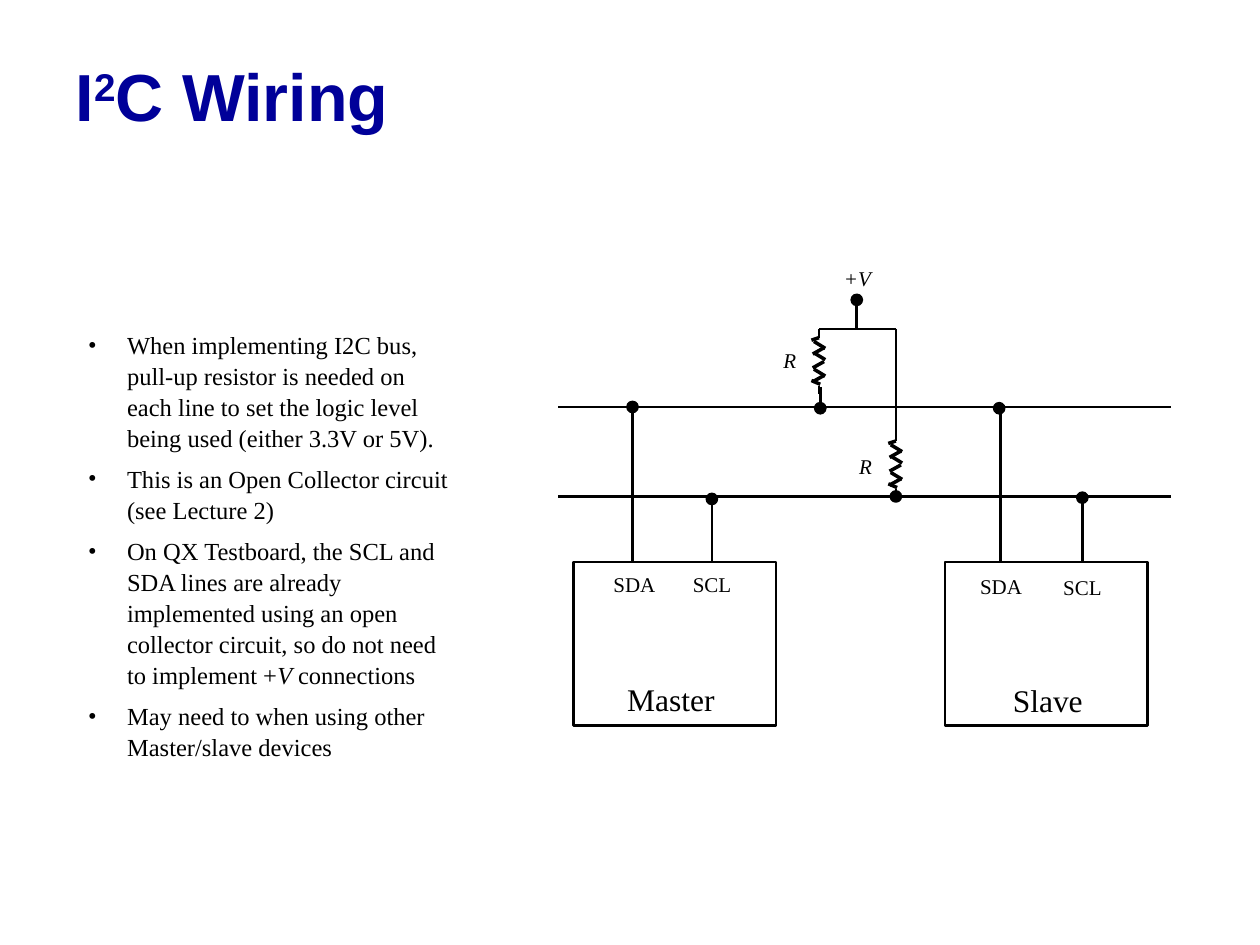
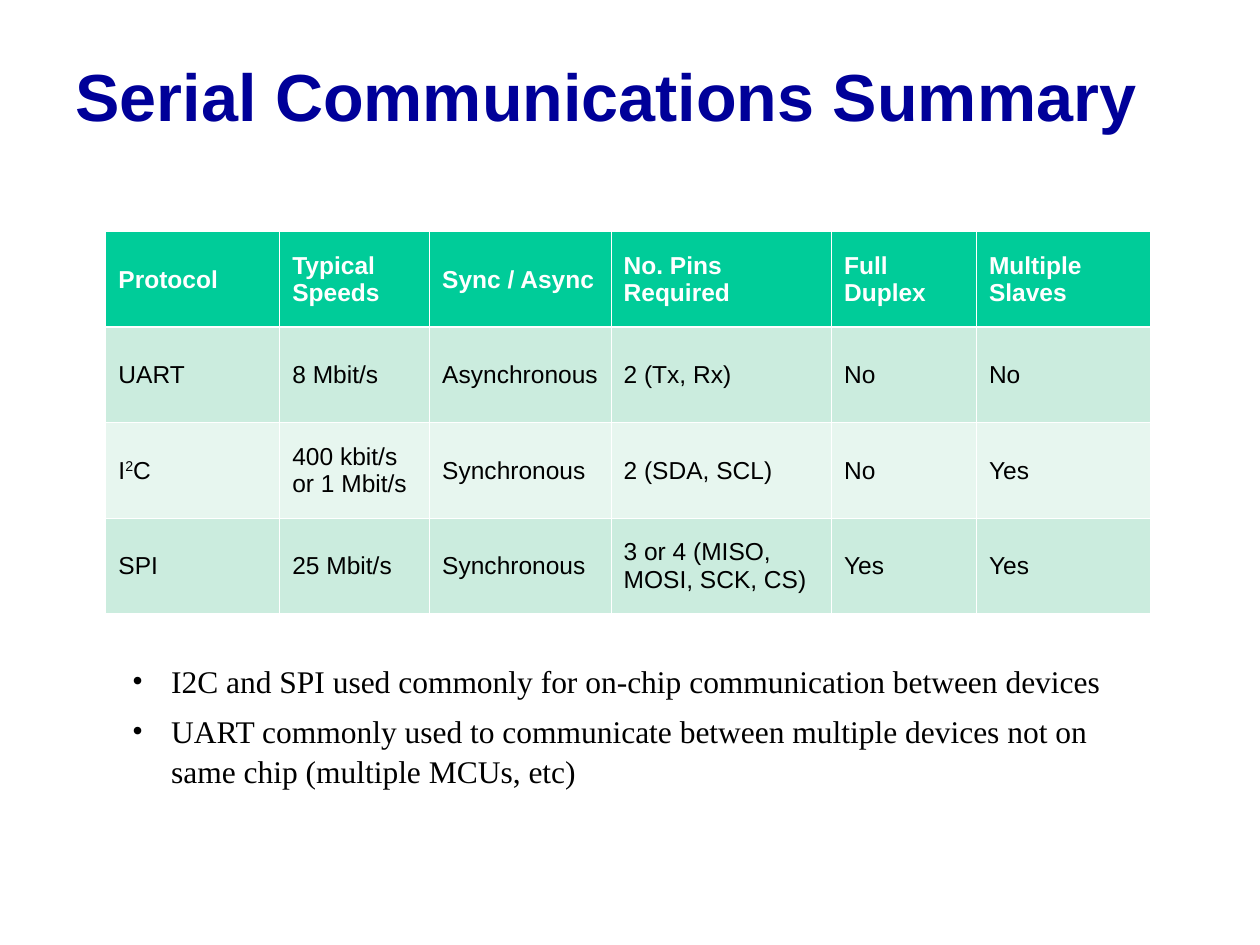
"""Build two slides on bus wiring and serial protocols, on a grid of 100 columns by 75 rows."""
from dataclasses import dataclass
from typing import Any, NamedTuple

from lxml import etree
from pptx import Presentation
from pptx import util as u
from pptx.dml.color import RGBColor
from pptx.enum import shapes, text
from pptx.oxml.ns import qn

COLS, ROWS = 100, 75
UNIT = u.Inches(10) // COLS
NAVY, BLACK, WHITE = "000099", "000000", "FFFFFF"
HEAD, BANDS = "00CC99", ("CBECDE", "E7F6EF")
SANS, SERIF = "Arial", "Times New Roman"
THIN, THICK = 1.5, 2


class Box(NamedTuple):
    left: float
    top: float
    width: float
    height: float


class Wire(NamedTuple):
    x1: float
    y1: float
    x2: float
    y2: float
    weight: float = THIN


class Dot(NamedTuple):
    x: float
    y: float


@dataclass
class Label:
    words: str
    box: Box
    size: int = 12
    slant: bool = False


@dataclass
class Chip:
    name: Label
    frame: Box
    pins: tuple[Label, Label]


CHIPS = (
    Chip(Label("Master", Box(48.8, 53.3, 15.4, 4), 18), Box(45.5, 44.6, 16.1, 13),
         (Label("SDA", Box(47.7, 44.8, 5.7, 3)), Label("SCL", Box(54, 44.8, 5.7, 3)))),
    Chip(Label("Slave", Box(79.4, 53.4, 15.4, 4), 18), Box(75, 44.6, 16.1, 13),
         (Label("SDA", Box(76.8, 44.9, 5.7, 3)), Label("SCL", Box(83.4, 45, 5.7, 3)))),
)
SIGNS = (
    Label("R", Box(61.2, 27, 3, 3), slant=True),
    Label("R", Box(67.2, 35.4, 3, 3), slant=True),
    Label("+V", Box(66, 20.5, 4.4, 3), slant=True),
)
WIRES = (
    Wire(44.3, 32.3, 92.9, 32.3), Wire(44.3, 39.4, 92.9, 39.4),
    Wire(50.2, 32.3, 50.2, 44.6), Wire(79.4, 32.3, 79.4, 44.6),
    Wire(56.5, 39.4, 56.5, 44.6), Wire(85.9, 39.4, 85.9, 44.6),
    Wire(71.1, 26.1, 71.1, 34.3), Wire(65.1, 30.7, 65.1, 32.4),
    Wire(65, 26.1, 71.1, 26.1), Wire(68, 23.5, 68, 26.1),
)
COILS = (Dot(71.1, 34.3), Dot(65, 26.1))
DOTS = (Dot(50.2, 32.3), Dot(56.5, 39.6), Dot(65.1, 32.4), Dot(71.1, 39.4),
        Dot(79.3, 32.4), Dot(85.9, 39.5), Dot(68, 23.8))
NOTES = (
    "When implementing I2C bus, pull-up resistor is needed on each line to set "
    "the logic level being used (either 3.3V or 5V).",
    "This is an Open Collector circuit (see Lecture 2)",
    "On QX Testboard, the SCL and SDA lines are already implemented using an open "
    "collector circuit, so do not need to implement +|V |connections",
    "May need to when using other Master/slave devices",
)
USES = (
    "I2C and SPI used commonly for on-chip communication between devices",
    "UART commonly used to communicate between multiple devices not on same chip "
    "(multiple MCUs, etc)",
)
WIDTHS = (13.8, 11.9, 14.4, 17.5, 11.5, 13.8)
HIGH = 7.58
GRID = (
    ("Protocol", "Typical Speeds", "Sync / Async", "No. Pins Required", "Full Duplex",
     "Multiple Slaves"),
    ("UART", "8 Mbit/s", "Asynchronous", "2 (Tx, Rx)", "No", "No"),
    ("I|2|C", "400 kbit/s or 1 Mbit/s", "Synchronous", "2 (SDA, SCL)", "No", "Yes"),
    ("SPI", "25 Mbit/s", "Synchronous", "3 or 4 (MISO, MOSI, SCK, CS)", "Yes", "Yes"),
)


def span(count: float) -> u.Emu:
    return u.Emu(round(count * UNIT))


def place(box: Box) -> list[u.Emu]:
    return [span(part) for part in box]


def tint(code: str) -> RGBColor:
    return RGBColor.from_string(code)


def write(para: Any, words: str, face: str, size: int, hue: str = BLACK,
          bold: bool = False, slant: bool = False, raised: bool = False) -> None:
    """Fill a paragraph; parts between bars are raised or italic."""
    for spot, part in enumerate(words.split("|")):
        run = para.add_run()
        run.text = part
        if spot % 2 and raised:
            run._r.get_or_add_rPr().set("baseline", "30000")
        elif spot % 2:
            run.font.italic = True
    font = para.font
    font.name, font.size, font.bold = face, u.Pt(size), bold
    font.color.rgb = tint(hue)
    if slant:
        font.italic = True


def head(slide: Any, words: str) -> None:
    title = slide.shapes.title
    title.left, title.top, title.width, title.height = place(Box(5, 2.5, 89.7, 10))
    frame = title.text_frame
    frame.auto_size = text.MSO_AUTO_SIZE.NONE
    frame.vertical_anchor = text.MSO_ANCHOR.MIDDLE
    para = frame.paragraphs[0]
    para.alignment = text.PP_ALIGN.LEFT
    write(para, words, SANS, 38, NAVY, bold=True, raised=True)


def panel(slide: Any, box: Box) -> Any:
    frame = slide.shapes.add_textbox(*place(box)).text_frame
    frame.word_wrap = True
    return frame


def label(slide: Any, item: Label) -> None:
    para = panel(slide, item.box).paragraphs[0]
    para.line_spacing = 1.05
    write(para, item.words, SERIF, item.size, slant=item.slant)


def bullets(slide: Any, lines: tuple[str, ...], box: Box, size: int) -> None:
    frame = panel(slide, box)
    for spot, line in enumerate(lines):
        para = frame.add_paragraph() if spot else frame.paragraphs[0]
        props = para._p.get_or_add_pPr()
        props.set("marL", str(span(3.1)))
        props.set("indent", str(-span(3.1)))
        etree.SubElement(props, qn("a:buFont")).set("typeface", SERIF)
        etree.SubElement(props, qn("a:buChar")).set("char", "•")
        para.line_spacing = 1.05
        if spot < len(lines) - 1:
            para.space_after = u.Pt(6)
        write(para, line, SERIF, size)


def draw(pool: Any, wire: Wire) -> None:
    ends = place(Box(*wire[:4]))
    line = pool.add_connector(shapes.MSO_CONNECTOR.STRAIGHT, *ends)
    line.line.color.rgb = tint(BLACK)
    line.line.width = u.Pt(wire.weight)
    etree.SubElement(line._element.spPr, qn("a:effectLst"))


def coil(slide: Any, top: Dot) -> None:
    """Draw a resistor as one group hanging from its top end."""
    falls = [(-0.4, y, 0.5, y + 0.55, THICK) for y in (1, 1.9, 3.2)]
    climbs = [(-0.5, y, 0.4, y - 0.5, THICK) for y in (2, 3.1, 4.2)]
    tips = [(-0.6, 0.9, 0, 0.7, THICK), (-0.6, 4.1, 0.1, 4.4, THICK)]
    leads = [(0, 0, 0, 0.7, THIN), (0, 4.5, 0, 5.2, THIN)]
    pool = slide.shapes.add_group_shape().shapes
    for x1, y1, x2, y2, weight in falls + climbs + tips + leads:
        draw(pool, Wire(top.x + x1, top.y + y1, top.x + x2, top.y + y2, weight))


def solid(slide: Any, kind: Any, box: Box, hue: str | None = None) -> None:
    shape = slide.shapes.add_shape(kind, *place(box))
    shape.shadow.inherit = False
    shape.line.color.rgb = tint(BLACK)
    shape.line.width = u.Pt(THIN)
    if hue:
        shape.fill.solid()
        shape.fill.fore_color.rgb = tint(hue)
    else:
        shape.fill.background()


def edge(cell: Any, row: int) -> None:
    """Give a cell white borders, heavier under the header row."""
    props = cell._tc.get_or_add_tcPr()
    heavy = {0: "lnB", 1: "lnT"}.get(row)
    for spot, side in enumerate(("lnL", "lnR", "lnT", "lnB")):
        line = etree.Element(qn(f"a:{side}"))
        line.set("w", str(u.Pt(1.5 if side == heavy else 0.5)))
        fill = etree.SubElement(line, qn("a:solidFill"))
        etree.SubElement(fill, qn("a:srgbClr")).set("val", WHITE)
        props.insert(spot, line)


def table(slide: Any) -> None:
    box = Box(8.4, 18.4, sum(WIDTHS), HIGH * len(GRID))
    grid = slide.shapes.add_table(len(GRID), len(WIDTHS), *place(box)).table
    for col, width in zip(grid.columns, WIDTHS):
        col.width = span(width)
    for row, items in enumerate(GRID):
        grid.rows[row].height = span(HIGH)
        for col, words in enumerate(items):
            cell = grid.cell(row, col)
            cell.vertical_anchor = text.MSO_ANCHOR.MIDDLE
            cell.fill.solid()
            cell.fill.fore_color.rgb = tint(BANDS[(row - 1) % 2] if row else HEAD)
            edge(cell, row)
            write(cell.text_frame.paragraphs[0], words, SANS, 14,
                  BLACK if row else WHITE, bold=not row, raised=True)


def wiring(slide: Any) -> None:
    head(slide, "I|2|C Wiring")
    for chip in CHIPS:
        solid(slide, shapes.MSO_SHAPE.RECTANGLE, chip.frame)
        for item in (chip.name, *chip.pins):
            label(slide, item)
    for wire in WIRES:
        draw(slide.shapes, wire)
    for top in COILS:
        coil(slide, top)
    for dot in DOTS:
        solid(slide, shapes.MSO_SHAPE.OVAL, Box(dot.x - 0.4, dot.y - 0.4, 0.8, 0.8), BLACK)
    for item in SIGNS:
        label(slide, item)
    bullets(slide, NOTES, Box(6, 25.6, 30.8, 33.9), 14)


def summary(slide: Any) -> None:
    head(slide, "Serial Communications Summary")
    table(slide)
    bullets(slide, USES, Box(9.5, 51.9, 80.7, 10.9), 18)


def main() -> None:
    deck = Presentation()
    deck.slide_width, deck.slide_height = span(COLS), span(ROWS)
    for build in (wiring, summary):
        build(deck.slides.add_slide(deck.slide_layouts[5]))
    deck.save("out.pptx")


if __name__ == "__main__":
    main()
